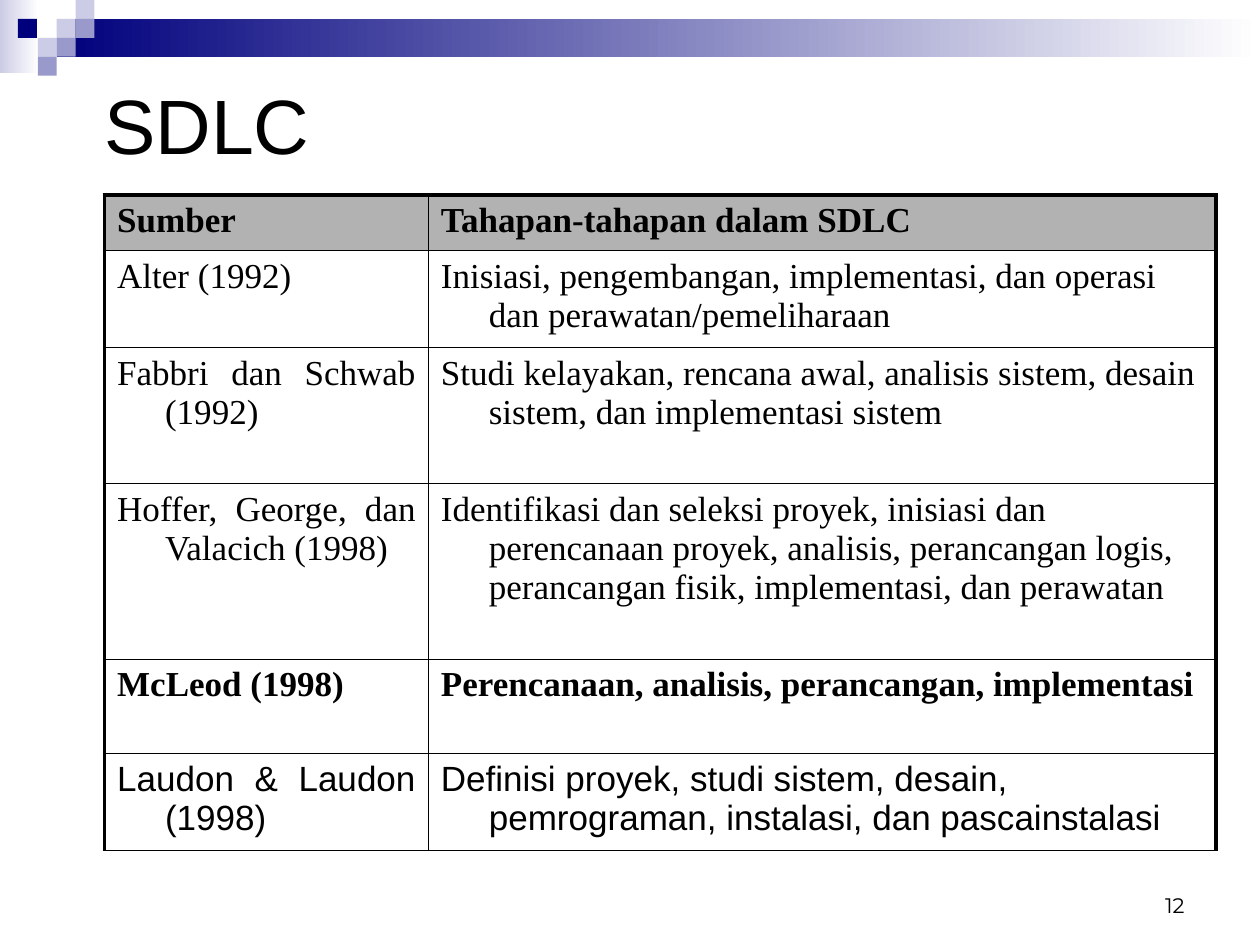
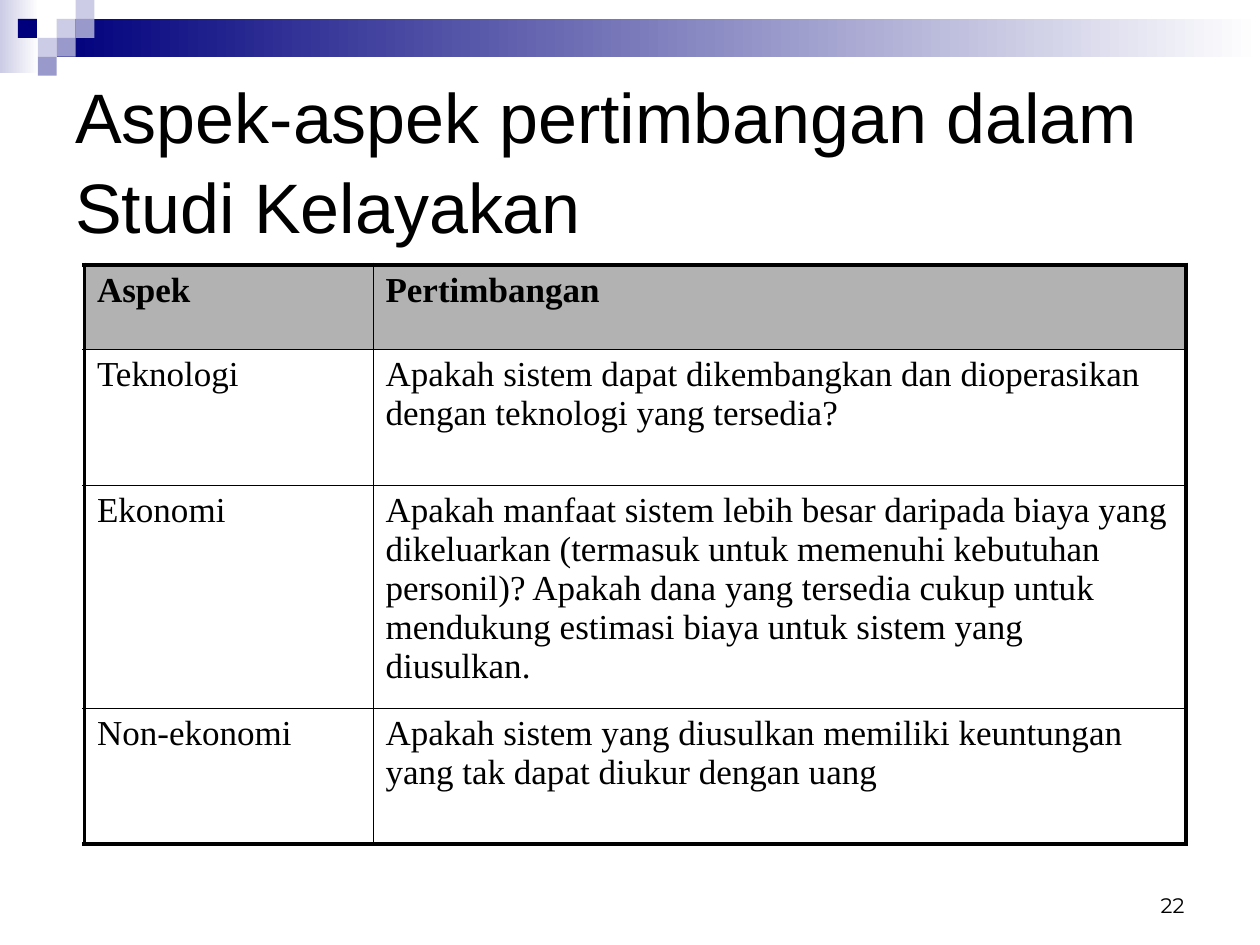
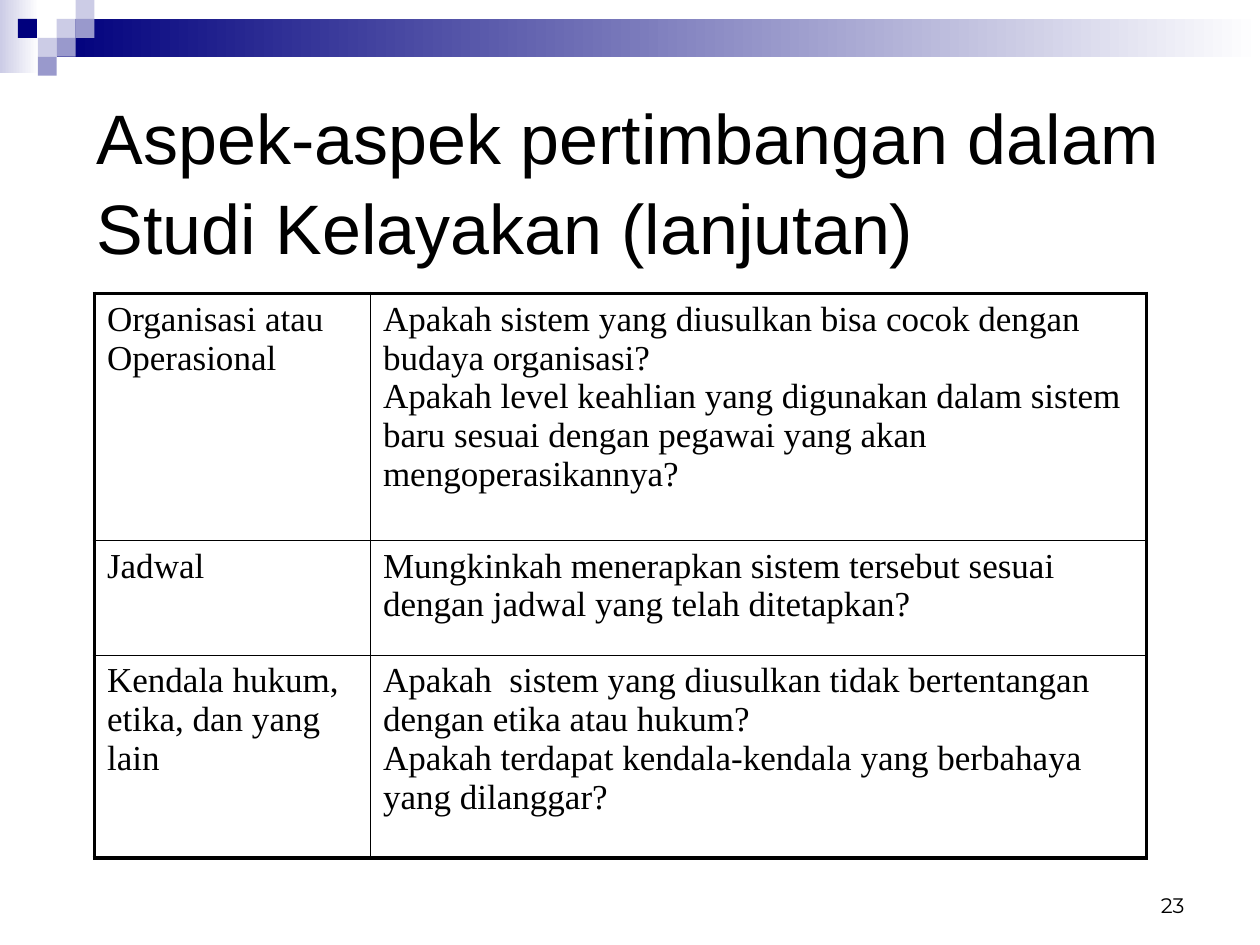
from dataclasses import dataclass

from lxml import etree
from pptx import Presentation, util as u
from pptx.dml.color import RGBColor
from pptx.enum import shapes, text
from pptx.oxml import ns


@dataclass(frozen=True)
class Theme:
    """Colours, fonts, type sizes and line widths of the deck."""
    ink: str = "000000"
    paper: str = "FFFFFF"
    navy: str = "00007D"
    mid: str = "9999CC"
    pale: str = "CCCCE6"
    head: str = "B2B2B2"
    sans: str = "Arial"
    serif: str = "Times New Roman"
    page: str = "Montserrat"
    big: int = 44
    title: int = 40
    body: int = 20
    small: int = 12
    thick: float = 2.5
    thin: float = 0.45
    lead: float = 1.07


COLS, ROWS = 100, 75
LEFT, RIGHT, JUST = text.PP_ALIGN.LEFT, text.PP_ALIGN.RIGHT, text.PP_ALIGN.JUSTIFY
TOP, MID, LOW = text.MSO_ANCHOR.TOP, text.MSO_ANCHOR.MIDDLE, text.MSO_ANCHOR.BOTTOM


class Deck:
    """Holds the theme and the current slide; lengths are grid columns and rows."""

    def __init__(self, theme):
        self.look = theme
        self.prs = Presentation()
        self.prs.slide_width, self.prs.slide_height = u.Inches(10), u.Inches(7.5)
        self.slide = None

    def wide(self, cols):
        return round(self.prs.slide_width * cols / COLS)

    def tall(self, rows):
        return round(self.prs.slide_height * rows / ROWS)

    def area(self, left, top, width, height):
        return self.wide(left), self.tall(top), self.wide(width), self.tall(height)

    # Text, run by run
    def run(self, para, words, font, size, bold=False):
        run = para.add_run()
        run.text = words
        run.font.name, run.font.size, run.font.bold = font, u.Pt(size), bold
        run.font.color.rgb = RGBColor.from_string(self.look.ink)

    def label(self, words, box, font, size, align, anchor, lead=None):
        frame = self.slide.shapes.add_textbox(*self.area(*box)).text_frame
        frame.word_wrap, frame.vertical_anchor = True, anchor
        para = frame.paragraphs[0]
        para.alignment, para.line_spacing = align, lead
        self.run(para, words, font, size)

    def title(self, words, left, top, size):
        self.label(words, (left, top, 90, 15), self.look.sans, size, LEFT, MID,
                   self.look.lead)

    # Rectangles: one colour is solid, two make a gradient
    def rect(self, box, *tones):
        shape = self.slide.shapes.add_shape(shapes.MSO_SHAPE.RECTANGLE, *self.area(*box))
        shape.shadow.inherit = False
        shape.line.fill.background()
        if len(tones) == 1:
            shape.fill.solid()
            shape.fill.fore_color.rgb = RGBColor.from_string(tones[0])
            return
        shape.fill.gradient()
        shape.fill.gradient_angle = 0
        for stop, tone, place in zip(shape.fill.gradient_stops, tones, (0, 1)):
            stop.color.rgb, stop.position = RGBColor.from_string(tone), place

    # Top band with its squares
    def band(self):
        look, side = self.look, 1.5
        self.rect((0, 0, 3.1, 5.8), look.pale, look.paper)
        self.rect((3 * side, side, COLS - 3 * side, 2 * side), look.navy, look.paper)
        tiles = [(3, 1, look.pale), (4, 0, look.pale), (4, 1, look.mid),
                 (2, 2, look.pale), (0.95, 1, look.navy), (3, 2, look.mid),
                 (2, 3, look.mid)]
        for col, row, tone in tiles:
            self.rect((col * side, row * side, side, side), tone)

    def page(self, number):
        self.slide = self.prs.slides.add_slide(self.prs.slide_layouts[6])
        self.band()
        self.label(str(number), (71.7, 68.3, 23.3, 5), self.look.page,
                   self.look.small, RIGHT, LOW)

    # Tables
    def edge(self, cell, side, width):
        line = etree.SubElement(cell._tc.get_or_add_tcPr(), ns.qn("a:ln" + side),
                                w=str(u.Pt(width)))
        fill = etree.SubElement(line, ns.qn("a:solidFill"))
        etree.SubElement(fill, ns.qn("a:srgbClr"), val=self.look.ink)

    def cell(self, cell, words, font, bold, tone, align, hang, outer):
        for side in "LRTB":
            self.edge(cell, side, self.look.thick if side in outer else self.look.thin)
        cell.fill.solid()
        cell.fill.fore_color.rgb = RGBColor.from_string(tone)
        cell.vertical_anchor = TOP
        frame = cell.text_frame
        for spot, part in enumerate(words.split("\n")):
            para = frame.add_paragraph() if spot else frame.paragraphs[0]
            para.alignment = align
            if hang:
                props = para._p.get_or_add_pPr()
                props.set("marL", str(self.wide(hang)))
                props.set("indent", str(-self.wide(hang)))
            self.run(para, part, font, self.look.body, bold)

    def table(self, left, top, cols, rows, data, head=True, bold=(), sans=(),
              hang=0, shut=True):
        """Bold and sans list row numbers; shut draws the thick bottom edge."""
        look = self.look
        box = self.area(left, top, sum(cols), sum(rows))
        grid = self.slide.shapes.add_table(len(rows), len(cols), *box).table
        grid.first_row = grid.horz_banding = False
        for col, width in zip(grid.columns, cols):
            col.width = self.wide(width)
        for r, (row, height, line) in enumerate(zip(grid.rows, rows, data)):
            row.height = self.tall(height)
            top_row = head and r == 0
            for c, words in enumerate(line):
                outer = "R" if c else "L"
                outer += "T" if r == 0 else ""
                outer += "B" if shut and r == len(rows) - 1 else ""
                self.cell(grid.cell(r, c), words,
                          look.sans if r in sans else look.serif,
                          top_row or r in bold,
                          look.head if top_row else look.paper,
                          JUST if hang and (c == 0 or top_row) else LEFT,
                          hang, outer)


STAGES = [
    ("Sumber", "Tahapan-tahapan dalam SDLC"),
    ("Alter (1992)",
     "Inisiasi, pengembangan, implementasi, dan operasi dan perawatan/pemeliharaan"),
    ("Fabbri dan Schwab (1992)",
     "Studi kelayakan, rencana awal, analisis sistem, desain sistem, "
     "dan implementasi sistem"),
    ("Hoffer, George, dan Valacich (1998)",
     "Identifikasi dan seleksi proyek, inisiasi dan perencanaan proyek, analisis, "
     "perancangan logis, perancangan fisik, implementasi, dan perawatan"),
    ("McLeod (1998)", "Perencanaan, analisis, perancangan, implementasi"),
    ("Laudon & Laudon (1998)",
     "Definisi proyek, studi sistem, desain, pemrograman, instalasi, "
     "dan pascainstalasi"),
]
ASPECTS = [
    ("Aspek", "Pertimbangan"),
    ("Teknologi",
     "Apakah sistem dapat dikembangkan dan dioperasikan dengan teknologi "
     "yang tersedia?"),
    ("Ekonomi",
     "Apakah manfaat sistem lebih besar daripada biaya yang dikeluarkan "
     "(termasuk untuk memenuhi kebutuhan personil)? Apakah dana yang tersedia "
     "cukup untuk mendukung estimasi biaya untuk sistem yang diusulkan."),
    ("Non-ekonomi",
     "Apakah sistem yang diusulkan memiliki keuntungan yang tak dapat diukur "
     "dengan uang"),
]
MORE = [
    ("Organisasi atau\nOperasional",
     "Apakah sistem yang diusulkan bisa cocok dengan budaya organisasi?\n"
     "Apakah level keahlian yang digunakan dalam sistem baru sesuai dengan "
     "pegawai yang akan mengoperasikannya?"),
    ("Jadwal",
     "Mungkinkah menerapkan sistem tersebut sesuai dengan jadwal yang telah "
     "ditetapkan?"),
    ("Kendala hukum, etika, dan yang lain",
     "Apakah  sistem yang diusulkan tidak bertentangan dengan etika atau hukum?\n"
     "Apakah terdapat kendala-kendala yang berbahaya yang dilanggar?"),
]


def main():
    look = Theme()
    deck = Deck(look)
    topic = "Aspek-aspek pertimbangan dalam Studi Kelayakan"

    # SDLC stages by source
    deck.page(12)
    deck.title("SDLC", 7.3, 2.1, look.big)
    deck.table(8.3, 15.5, (25.7, 62.5), (4.4, 7.7, 10.8, 13.9, 7.5, 7.7), STAGES,
               bold=(4,), sans=(5,), hang=3.8, shut=False)

    # Feasibility aspects
    deck.page(22)
    deck.title(topic, 5, 5, look.title)
    deck.table(6.7, 21, (22.9, 64.5), (6.7, 10.8, 17.7, 10.8), ASPECTS)

    # Feasibility aspects, continued
    deck.page(23)
    deck.table(7.5, 23.3, (21.9, 61.6), (19.6, 9.1, 16.1), MORE, head=False)
    deck.title(topic + " (lanjutan)", 6.7, 6.7, look.title)

    deck.prs.save("out.pptx")


if __name__ == "__main__":
    main()
